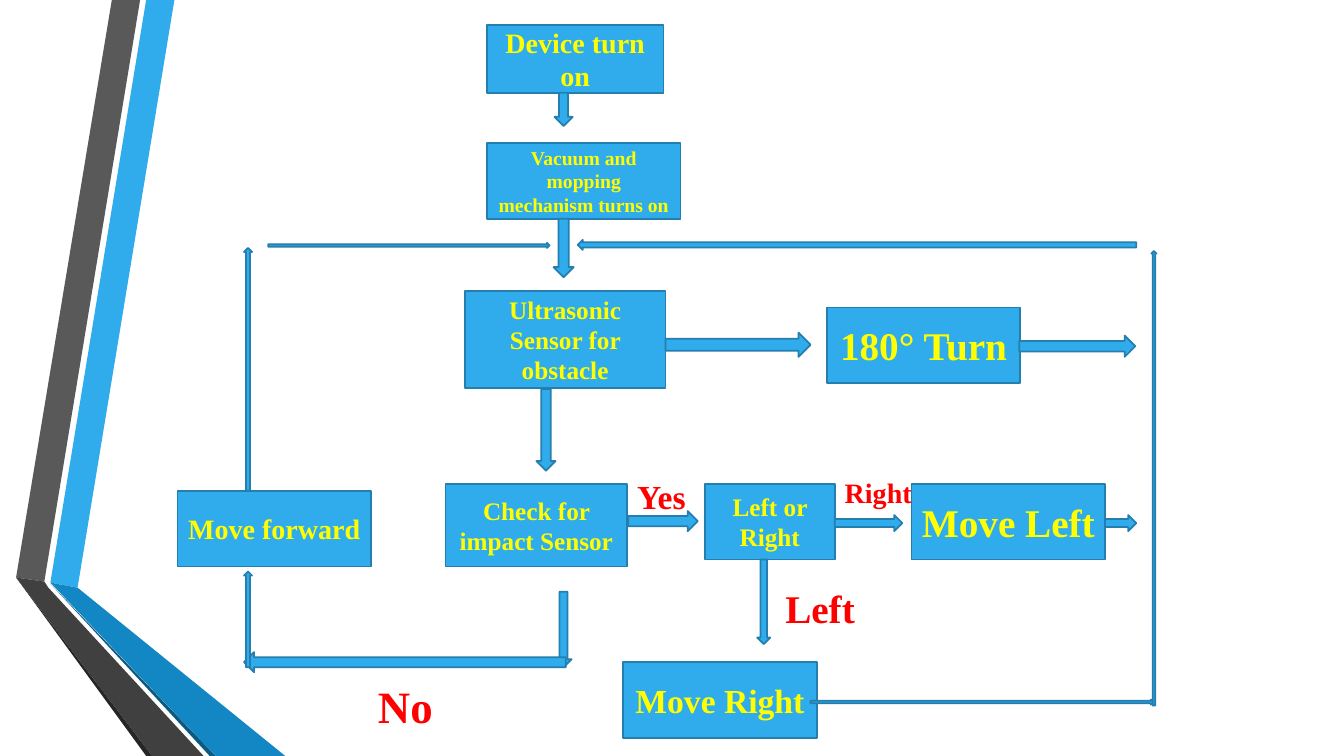
from dataclasses import dataclass

from pptx import Presentation
from pptx.dml.color import RGBColor
from pptx.enum.shapes import MSO_SHAPE
from pptx.enum.text import MSO_ANCHOR, MSO_AUTO_SIZE, PP_ALIGN
from pptx.util import Inches, Pt

RECT = MSO_SHAPE.RECTANGLE
UP, DOWN = MSO_SHAPE.UP_ARROW, MSO_SHAPE.DOWN_ARROW
LEFT, RIGHT = MSO_SHAPE.LEFT_ARROW, MSO_SHAPE.RIGHT_ARROW
MIDDLE = MSO_ANCHOR.MIDDLE
FIT_SHAPE = MSO_AUTO_SIZE.SHAPE_TO_FIT_TEXT
CENTER = PP_ALIGN.CENTER


@dataclass(frozen=True)
class Theme:
    font: str = "Times New Roman"
    blue: str = "30ACEC"
    outline: str = "247FAF"
    step_text: str = "FFFF00"
    branch_text: str = "FF0000"
    gray: str = "595959"
    dark_gray: str = "404040"
    black: str = "262626"
    deep_blue: str = "1287C3"
    navy: str = "0C5A82"
    tiny: int = 14
    small: int = 18
    medium: int = 20
    large: int = 24
    huge: int = 28
    giant: int = 32


@dataclass(frozen=True)
class Box:
    left: float
    top: float
    width: float
    height: float

    def place(self, x, y, width, height):
        return [Inches(v) for v in (self.left + x, self.top + y, width, height)]


THEME = Theme()
STEP_W, STEP_H = 1.92, 0.75
ROW = 4.55

RIBBONS = [
    (THEME.blue, [(0.34, 5.78), (0.61, 5.83), (1.57, 0), (1.29, 0)]),
    (THEME.gray, [(1.23, 0), (0.95, 0), (0, 5.73), (0.28, 5.77)]),
    (THEME.black, [(0, 5.73), (1.29, 7.5), (1.35, 7.5)]),
    (THEME.navy, [(0.34, 5.79), (1.92, 7.5), (1.98, 7.5)]),
    (THEME.deep_blue, [(0.34, 5.78), (1.98, 7.5), (2.67, 7.5), (0.61, 5.83)]),
    (THEME.dark_gray, [(1.86, 7.5), (0.32, 5.83), (0.28, 5.77), (0, 5.73), (1.35, 7.5)]),
]

STEPS = [
    ("Device turn on", THEME.medium, 3.07, 0, 1.75, 0.67),
    ("Vacuum and mopping mechanism turns on", THEME.tiny, 3.07, 1.17, STEP_W, STEP_H),
    ("Ultrasonic Sensor for obstacle", THEME.small, 2.85, 2.64, 1.99, 0.96),
    ("180° Turn", THEME.huge, 6.44, 2.8, STEP_W, STEP_H),
    ("Move forward", THEME.medium, 0, 4.62, STEP_W, STEP_H),
    ("Check for impact Sensor", THEME.small, 2.66, ROW, 1.8, 0.82),
    ("Left or Right", THEME.small, 5.23, ROW, 1.29, STEP_H),
    ("Move Left", THEME.huge, 7.28, ROW, STEP_W, STEP_H),
    ("Move Right", THEME.large, 4.42, 6.32, STEP_W, STEP_H),
]

ARROWS = [
    (DOWN, 3.74, 0.67, 0.18, 0.33),
    (DOWN, 3.73, 1.92, 0.2, 0.58),
    (UP, 0.66, 2.21, 0.08, 2.41),
    (RIGHT, 0.9, 2.16, 2.79, 0.05),
    (RIGHT, 6.28, 6.69, 3.4, 0.05),
    (UP, 9.66, 2.24, 0.05, 4.51),
    (LEFT, 3.97, 2.13, 5.54, 0.1),
    (DOWN, 3.75, 5.62, 0.16, 0.75),
    (LEFT, 0.66, 6.22, 3.19, 0.2),
    (UP, 0.66, 5.42, 0.08, 0.95),
    (DOWN, 3.56, 3.61, 0.19, 0.81),
    (RIGHT, 4.47, 4.82, 0.69, 0.2),
    (RIGHT, 6.52, 4.86, 0.67, 0.16),
    (RIGHT, 4.84, 3.05, 1.44, 0.24),
    (RIGHT, 8.35, 3.08, 1.15, 0.21),
    (RIGHT, 9.2, 4.86, 0.31, 0.16),
    (DOWN, 5.75, 5.3, 0.13, 0.84),
]

BRANCHES = [
    ("Yes", THEME.large, 4.46, 4.42, 0.69, 0.5),
    ("Right", THEME.medium, 6.52, 4.42, 0.87, 0.44),
    ("Left", THEME.huge, 5.93, 5.5, 0.9, 0.57),
    ("No", THEME.giant, 1.89, 6.43, 0.75, 0.64),
]


def paint(shape, fill):
    shape.shadow.inherit = False
    shape.fill.solid()
    shape.fill.fore_color.rgb = RGBColor.from_string(fill)


def write(paragraph, text, size, color):
    run = paragraph.add_run()
    run.text = text
    run.font.name = THEME.font
    run.font.size = Pt(size)
    run.font.bold = True
    run.font.color.rgb = RGBColor.from_string(color)


def add_flow_shape(slide, area, preset, *bounds):
    shape = slide.shapes.add_shape(preset, *area.place(*bounds))
    paint(shape, THEME.blue)
    shape.line.color.rgb = RGBColor.from_string(THEME.outline)
    shape.line.width = Pt(1.25)
    return shape


def draw_ribbons(slide, area):
    for color, corners in RIBBONS:
        points = [(Inches(area.left + x), Inches(area.top + y)) for x, y in corners]
        builder = slide.shapes.build_freeform(*points[0])
        builder.add_line_segments(points[1:], close=True)
        ribbon = builder.convert_to_shape()
        paint(ribbon, color)
        ribbon.line.fill.background()


def draw_steps(slide, area):
    for text, size, *bounds in STEPS:
        frame = add_flow_shape(slide, area, RECT, *bounds).text_frame
        frame.word_wrap = True
        frame.vertical_anchor = MIDDLE
        paragraph = frame.paragraphs[0]
        paragraph.alignment = CENTER
        write(paragraph, text, size, THEME.step_text)


def draw_arrows(slide, area):
    for direction, *bounds in ARROWS:
        add_flow_shape(slide, area, direction, *bounds)


def draw_branches(slide, area):
    for text, size, *bounds in BRANCHES:
        frame = slide.shapes.add_textbox(*area.place(*bounds)).text_frame
        frame.word_wrap = False
        frame.auto_size = FIT_SHAPE
        write(frame.paragraphs[0], text, size, THEME.branch_text)


def main():
    deck = Presentation()
    deck.slide_width, deck.slide_height = Inches(13.33), Inches(7.5)
    slide = deck.slides.add_slide(deck.slide_layouts[6])
    draw_ribbons(slide, Box(0.16, 0, 2.67, 7.5))
    flowchart = Box(1.76, 0.25, 9.71, 7.07)
    draw_steps(slide, flowchart)
    draw_arrows(slide, flowchart)
    draw_branches(slide, flowchart)
    deck.save("out.pptx")


if __name__ == "__main__":
    main()
